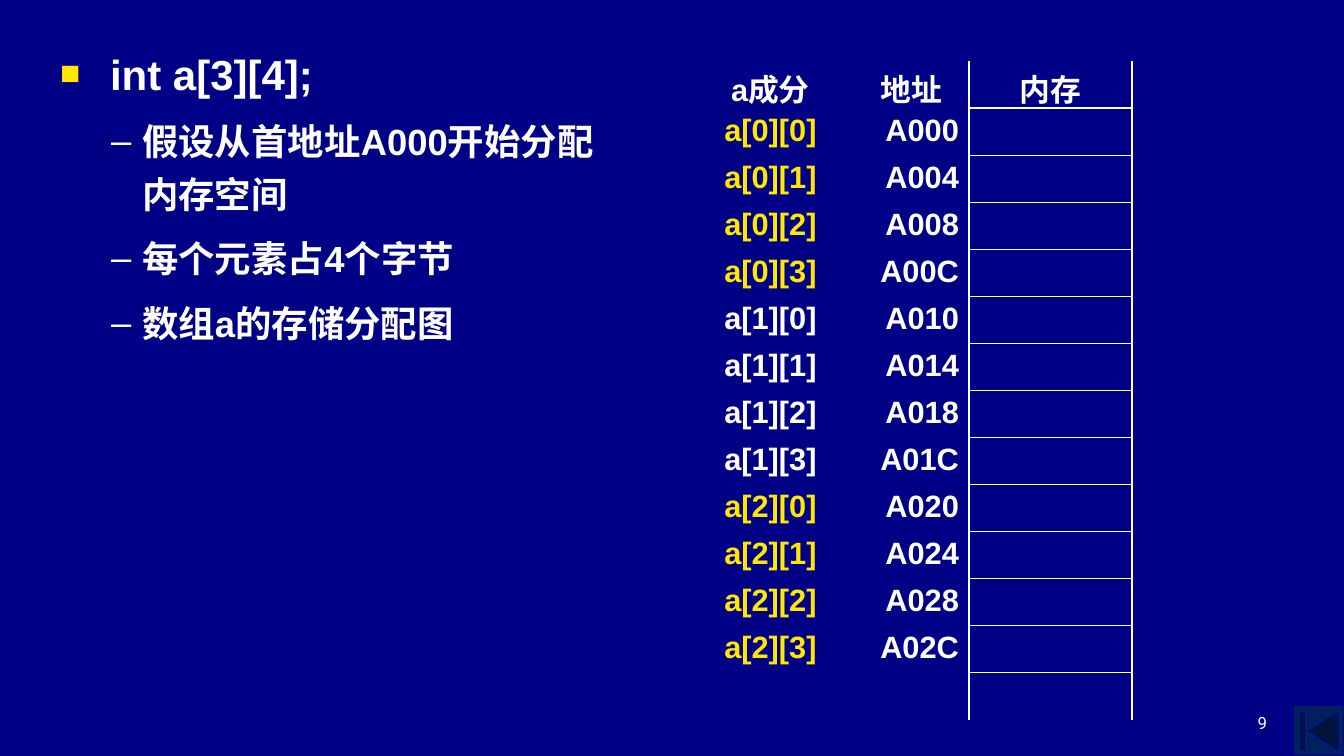
import dataclasses
import pptx
import pptx.dml.color
import pptx.enum.lang
import pptx.enum.shapes
import pptx.enum.text
import pptx.oxml
import pptx.oxml.ns
import pptx.util

ALIGN = pptx.enum.text.PP_ALIGN
ANCHOR = pptx.enum.text.MSO_ANCHOR


@dataclasses.dataclass
class Theme:
    background: str = "000086"
    text: str = "FFFFFF"
    accent: str = "FFE701"
    button: str = "002060"
    font: str = "Arial"
    number_font: str = "Roboto"
    heading_size: int = 30
    item_size: int = 26
    table_size: int = 22
    number_size: int = 12


def px(value):
    return pptx.util.Emu(round(value * 914400 / 100.8))


def rgb(value):
    return pptx.dml.color.RGBColor.from_string(value)


def add_xml(parent, tag, content="", **attributes):
    listed = "".join(f' {name}="{value}"' for name, value in attributes.items())
    xml = f'<a:{tag} {pptx.oxml.ns.nsdecls("a")}{listed}>{content}</a:{tag}>'
    parent.append(pptx.oxml.parse_xml(xml))


class SlideBuilder:
    def __init__(self, prs, theme):
        self.theme = theme
        self.s = prs.slides.add_slide(prs.slide_layouts[1])
        title = self.s.shapes.title
        title.element.getparent().remove(title.element)
        fill = self.s.background.fill
        fill.solid()
        fill.fore_color.rgb = rgb(theme.background)

    def style_text(self, p, text, size, color, bold=True, font=None):
        p.text = text
        for r in p.runs:
            r.font.name = font or self.theme.font
            r.font.size = pptx.util.Pt(size)
            r.font.bold = bold
            r.font.color.rgb = rgb(color)
            r.font.language_id = pptx.enum.lang.MSO_LANGUAGE_ID.SIMPLIFIED_CHINESE

    def bullet(self, p, mark, color, percent, margin, hanging):
        pPr = p._p.get_or_add_pPr()
        pPr.set("marL", str(px(margin)))
        pPr.set("indent", str(-px(hanging)))
        add_xml(pPr, "buClr", f'<a:srgbClr val="{color}"/>')
        add_xml(pPr, "buSzPct", val=percent * 1000)
        add_xml(pPr, "buFont", typeface=self.theme.font)
        add_xml(pPr, "buChar", char=mark)

    def body(self, heading, items, left, top, width, height):
        theme = self.theme
        sp = self.s.placeholders[1]
        sp.left, sp.top, sp.width, sp.height = map(px, (left, top, width, height))
        tf = sp.text_frame
        tf.auto_size = pptx.enum.text.MSO_AUTO_SIZE.NONE
        tf.vertical_anchor = ANCHOR.TOP
        tf.text = "\n".join([heading, *items])
        for index, p in enumerate(tf.paragraphs):
            p.level = min(index, 1)
            p.line_spacing = 1.2
            p.space_before = pptx.util.Pt(4.3 if index else 0)
            p.space_after = pptx.util.Pt(4.3)
            if index:
                self.bullet(p, "–", theme.text, 100, 82, 31)
                self.style_text(p, p.text, theme.item_size, theme.text)
            else:
                self.bullet(p, "■", theme.accent, 80, 50, 50)
                self.style_text(p, p.text, theme.heading_size, theme.text)

    def borders(self, cell, sides):
        tcPr = cell._tc.get_or_add_tcPr()
        line = f'<a:solidFill><a:srgbClr val="{self.theme.text}"/></a:solidFill>'
        for side in "LRTB":
            if side in sides:
                add_xml(tcPr, f"ln{side}", line, w=12700)
            else:
                add_xml(tcPr, f"ln{side}", "<a:noFill/>", w=0)

    def memory_table(self, rows, left, top, widths, row_height):
        theme = self.theme
        size = px(sum(widths)), px(row_height * len(rows))
        frame = self.s.shapes.add_table(len(rows), len(widths), px(left), px(top), *size)
        table = frame.table
        table.first_row = table.horz_banding = False
        for column, width in zip(table.columns, widths):
            column.width = px(width)
        last = len(rows) - 1
        memory_sides = {0: "LRB", last: "LRT"}
        for i, row in enumerate(rows):
            table.rows[i].height = px(row_height)
            sides = ("", "R", memory_sides.get(i, "LRTB"))
            for j, text in enumerate(row):
                cell = table.cell(i, j)
                self.borders(cell, sides[j])
                cell.fill.background()
                if text:
                    p = cell.text_frame.paragraphs[0]
                    p.alignment = ALIGN.RIGHT if i and j == 1 else ALIGN.CENTER
                    yellow = j == 0 and text.startswith(("a[0]", "a[2]"))
                    color = theme.accent if yellow else theme.text
                    self.style_text(p, text, theme.table_size, color)

    def page_number(self, text, left, top, width, height):
        theme = self.theme
        sp = self.s.shapes.add_textbox(*map(px, (left, top, width, height)))
        tf = sp.text_frame
        tf.word_wrap = True
        tf.vertical_anchor = ANCHOR.BOTTOM
        p = tf.paragraphs[0]
        p.alignment = ALIGN.RIGHT
        self.style_text(p, text, theme.number_size, theme.text, False, theme.number_font)

    def start_button(self, left, top, side):
        kind = pptx.enum.shapes.MSO_SHAPE.ACTION_BUTTON_BEGINNING
        sp = self.s.shapes.add_shape(kind, *map(px, (left, top, side, side)))
        sp.shadow.inherit = False
        sp.fill.solid()
        sp.fill.fore_color.rgb = rgb(self.theme.button)
        sp.line.color.rgb = rgb(self.theme.background)
        sp.line.width = pptx.util.Pt(0.75)


def main():
    prs = pptx.Presentation()
    prs.slide_width, prs.slide_height = px(1344), px(756)
    slide = SlideBuilder(prs, Theme())
    slide.start_button(1294, 706, 50)
    slide.page_number("9", 964, 688, 313, 50)

    elements = [
        (f"a[{n // 4}][{n % 4}]", f"A{n * 4:03X}", "") for n in range(12)
    ]
    rows = [("a成分", "地址", "内存"), *elements, ("", "", "")]
    slide.memory_table(rows, 687, 61, (167, 115, 163), 47)

    items = ["假设从首地址A000开始分配内存空间", "每个元素占4个字节", "数组a的存储分配图"]
    slide.body("int a[3][4];", items, 50, 33, 554, 345)
    prs.save("out.pptx")


if __name__ == "__main__":
    main()
